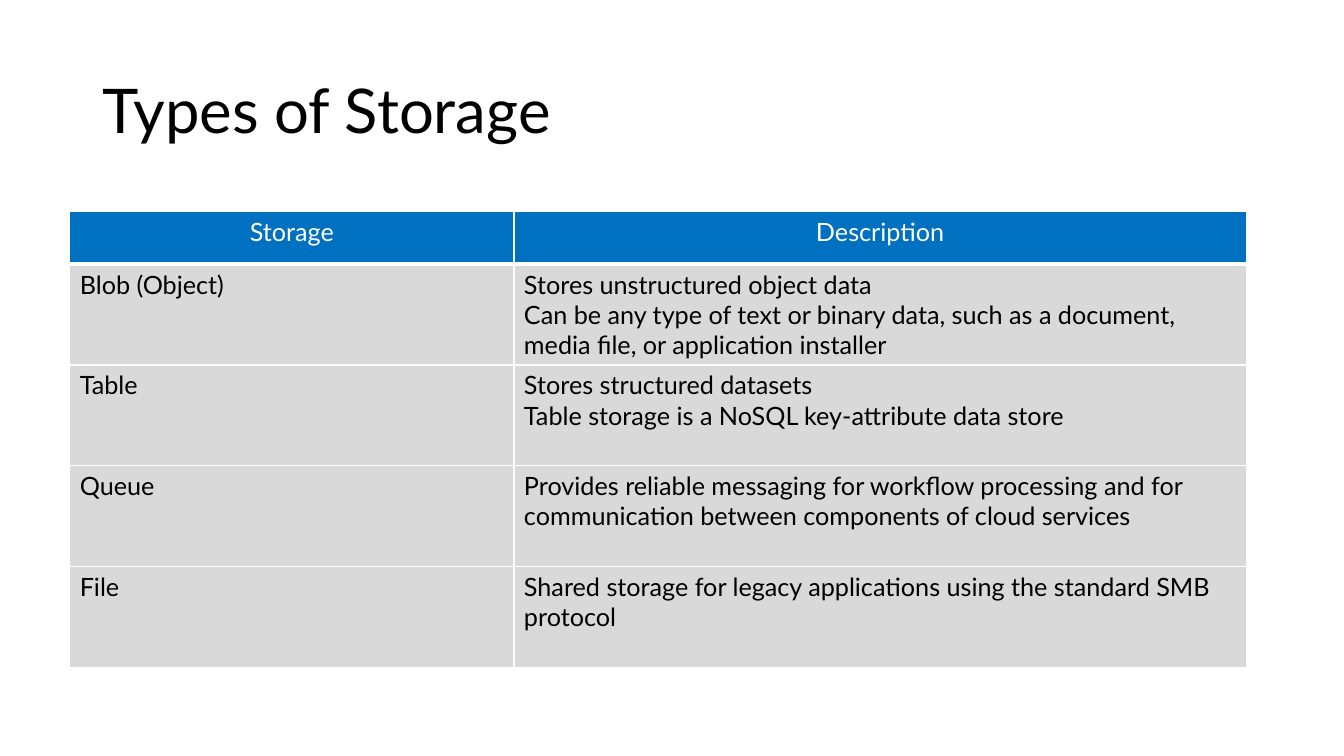
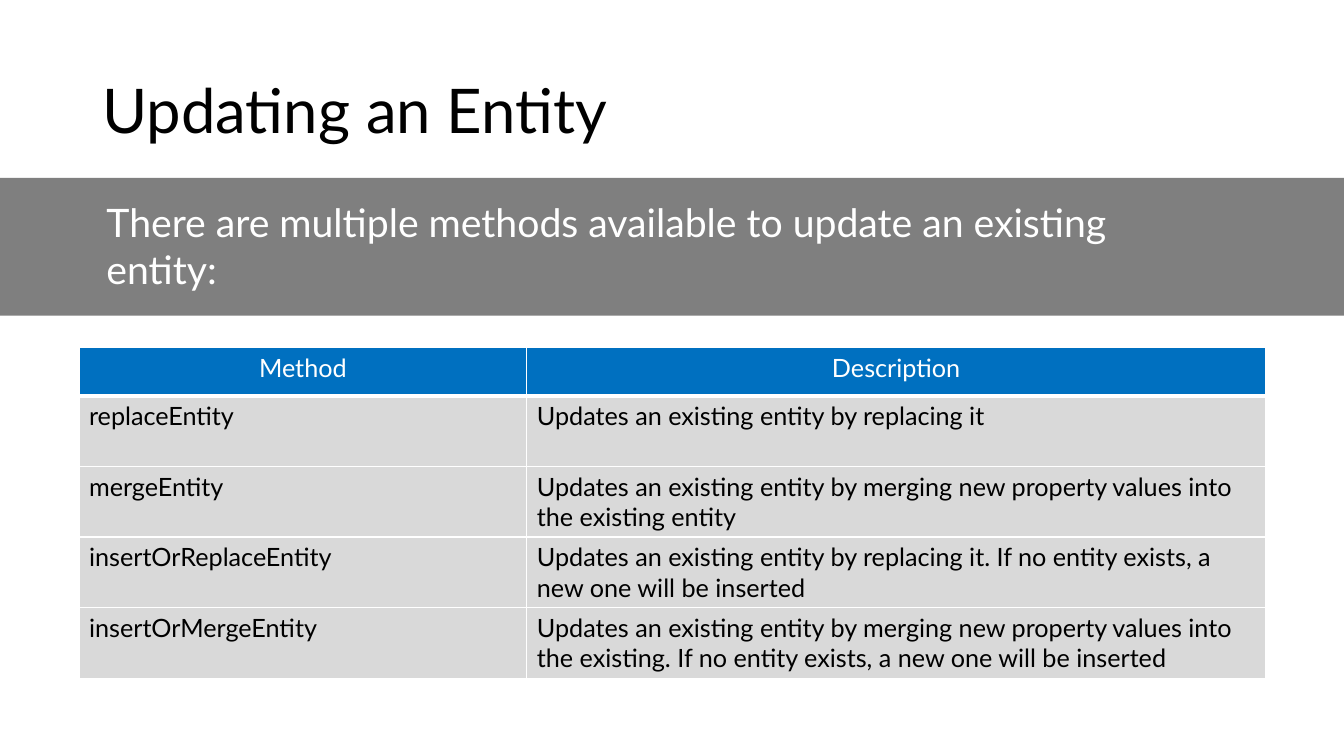
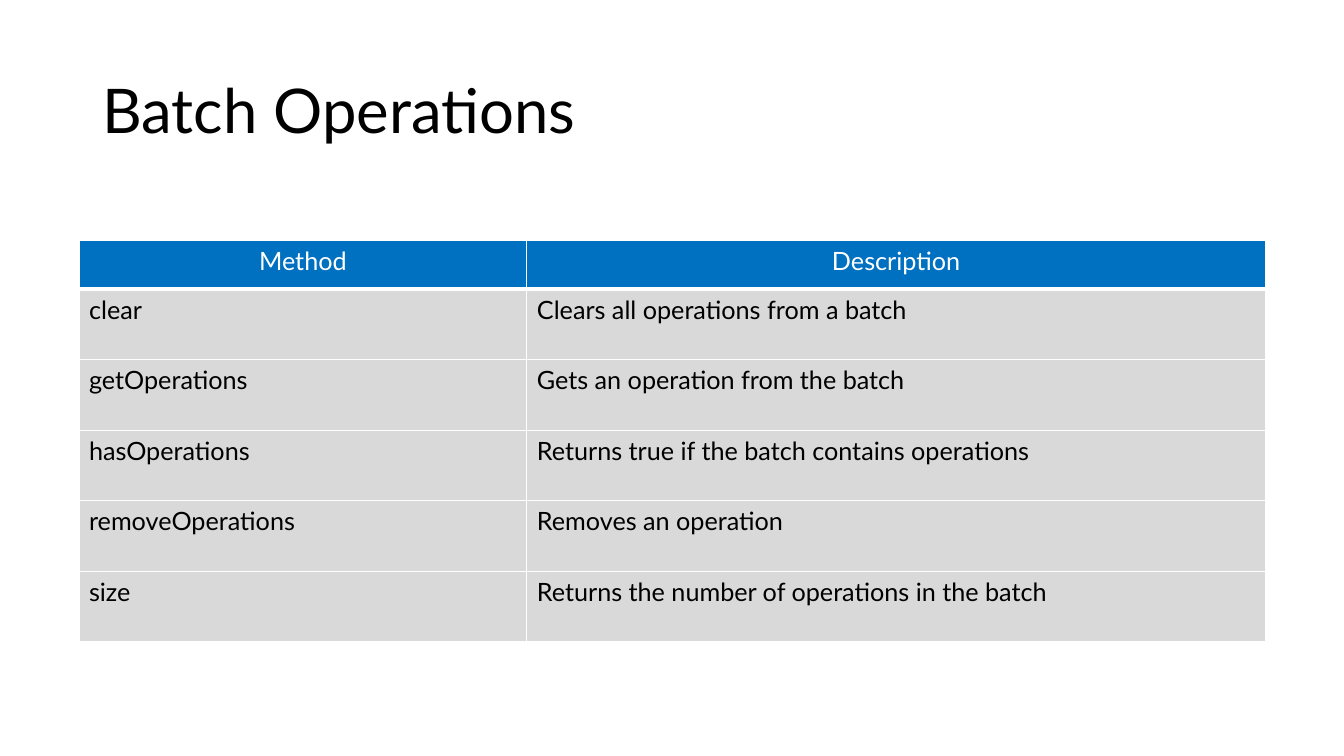
"""Build three slides on storage types, entity updates and batch operations."""
from dataclasses import dataclass

from lxml.etree import SubElement
from pptx import Presentation
from pptx.dml.color import RGBColor
from pptx.enum.shapes import MSO_SHAPE
from pptx.enum.text import MSO_ANCHOR, PP_ALIGN
from pptx.oxml.ns import qn
from pptx.util import Pt


@dataclass(frozen=True)
class Theme:
    font: str = "Lato"
    black: str = "000000"
    white: str = "FFFFFF"
    blue: str = "0070C0"
    pale: str = "D9D9D9"
    gray: str = "7F7F7F"
    title: int = 44
    lead: int = 28
    body: int = 18
    thin: int = 1
    thick: int = 3
    split: float = 0.3775


def paint(fill, color):
    fill.solid()
    fill.fore_color.rgb = RGBColor.from_string(color)


def write(frame, text, font, size, color, align=PP_ALIGN.LEFT, space=None):
    frame.word_wrap = True
    frame.text = text
    for para in frame.paragraphs:
        para.alignment = align
        para.line_spacing = space
        for run in para.runs:
            run.font.name = font
            run.font.size = Pt(size)
            run.font.bold = False
            run.font.color.rgb = RGBColor.from_string(color)


class Deck:
    def __init__(self, theme):
        self.theme = theme
        self.show = Presentation()
        self.show.slide_width = Pt(960)
        self.show.slide_height = Pt(540)
        self.slide = None

    def page(self, title):
        look = self.theme
        self.slide = self.show.slides.add_slide(self.show.slide_layouts[6])
        paint(self.slide.background.fill, look.white)
        frame = self.text(title, (66, 28.8, 828, 104.4), look.title,
                          look.black, space=0.9)
        frame.vertical_anchor = MSO_ANCHOR.MIDDLE

    def text(self, text, area, size, color, **form):
        frame = self.slide.shapes.add_textbox(*map(Pt, area)).text_frame
        write(frame, text, self.theme.font, size, color, **form)
        return frame

    def band(self, text):
        look = self.theme
        bar = self.slide.shapes.add_shape(
            MSO_SHAPE.RECTANGLE, 0, Pt(127), self.show.slide_width, Pt(98.5))
        bar.shadow.inherit = False
        bar.line.fill.background()
        paint(bar.fill, look.gray)
        self.text(text, (69, 138.4, 808.5, 75), look.lead, look.white)

    def edge(self, cell, row):
        look = self.theme
        wide = {"L": look.thin, "R": look.thin,
                "T": look.thick if row == 1 else look.thin,
                "B": look.thick if row == 0 else look.thin}
        props = cell._tc.get_or_add_tcPr()
        for side, width in wide.items():
            line = SubElement(props, qn(f"a:ln{side}"), w=str(Pt(width)))
            fill = SubElement(line, qn("a:solidFill"))
            SubElement(fill, qn("a:srgbClr"), val=look.white)

    def table(self, rows, left, top, width, head, high):
        look = self.theme
        full = head + high * (len(rows) - 1)
        grid = self.slide.shapes.add_table(
            len(rows), 2, Pt(left), Pt(top), Pt(width), Pt(full)).table
        grid.horz_banding = False
        for col, part in zip(grid.columns, (look.split, 1 - look.split)):
            col.width = Pt(width * part)
        for num, texts in enumerate(rows):
            first = num == 0
            grid.rows[num].height = Pt(head if first else high)
            for col, text in enumerate(texts):
                cell = grid.cell(num, col)
                self.edge(cell, num)
                paint(cell.fill, look.blue if first else look.pale)
                write(cell.text_frame, text, look.font, look.body,
                      look.white if first else look.black,
                      align=PP_ALIGN.CENTER if first else PP_ALIGN.LEFT)


STORES = [
    ("Storage", "Description"),
    ("Blob (Object)",
     "Stores unstructured object data\n"
     "Can be any type of text or binary data, such as a document, "
     "media file, or application installer"),
    ("Table",
     "Stores structured datasets\n"
     "Table storage is a NoSQL key-attribute data store"),
    ("Queue",
     "Provides reliable messaging for workflow processing and for "
     "communication between components of cloud services"),
    ("File",
     "Shared storage for legacy applications using the standard SMB protocol"),
]

EDITS = [
    ("Method", "Description"),
    ("replaceEntity", "Updates an existing entity by replacing it"),
    ("mergeEntity",
     "Updates an existing entity by merging new property values into "
     "the existing entity"),
    ("insertOrReplaceEntity",
     "Updates an existing entity by replacing it. If no entity exists, "
     "a new one will be inserted"),
    ("insertOrMergeEntity",
     "Updates an existing entity by merging new property values into "
     "the existing. If no entity exists, a new one will be inserted"),
]

BATCH = [
    ("Method", "Description"),
    ("clear", "Clears all operations from a batch"),
    ("getOperations", "Gets an operation from the batch"),
    ("hasOperations", "Returns true if the batch contains operations"),
    ("removeOperations", "Removes an operation"),
    ("size", "Returns the number of operations in the batch"),
]


def main():
    deck = Deck(Theme())
    slim = {"left": 56.4, "width": 847.5, "head": 34.8, "high": 50.4}

    deck.page("Types of Storage")
    deck.table(STORES, left=49.8, top=151.2, width=840.5, head=37.5, high=72)

    deck.page("Updating an Entity")
    deck.table(EDITS, top=248, **slim)
    deck.band("There are multiple methods available to update an existing entity:")

    deck.page("Batch Operations")
    deck.table(BATCH, top=171.8, **slim)

    deck.show.save("out.pptx")


if __name__ == "__main__":
    main()
